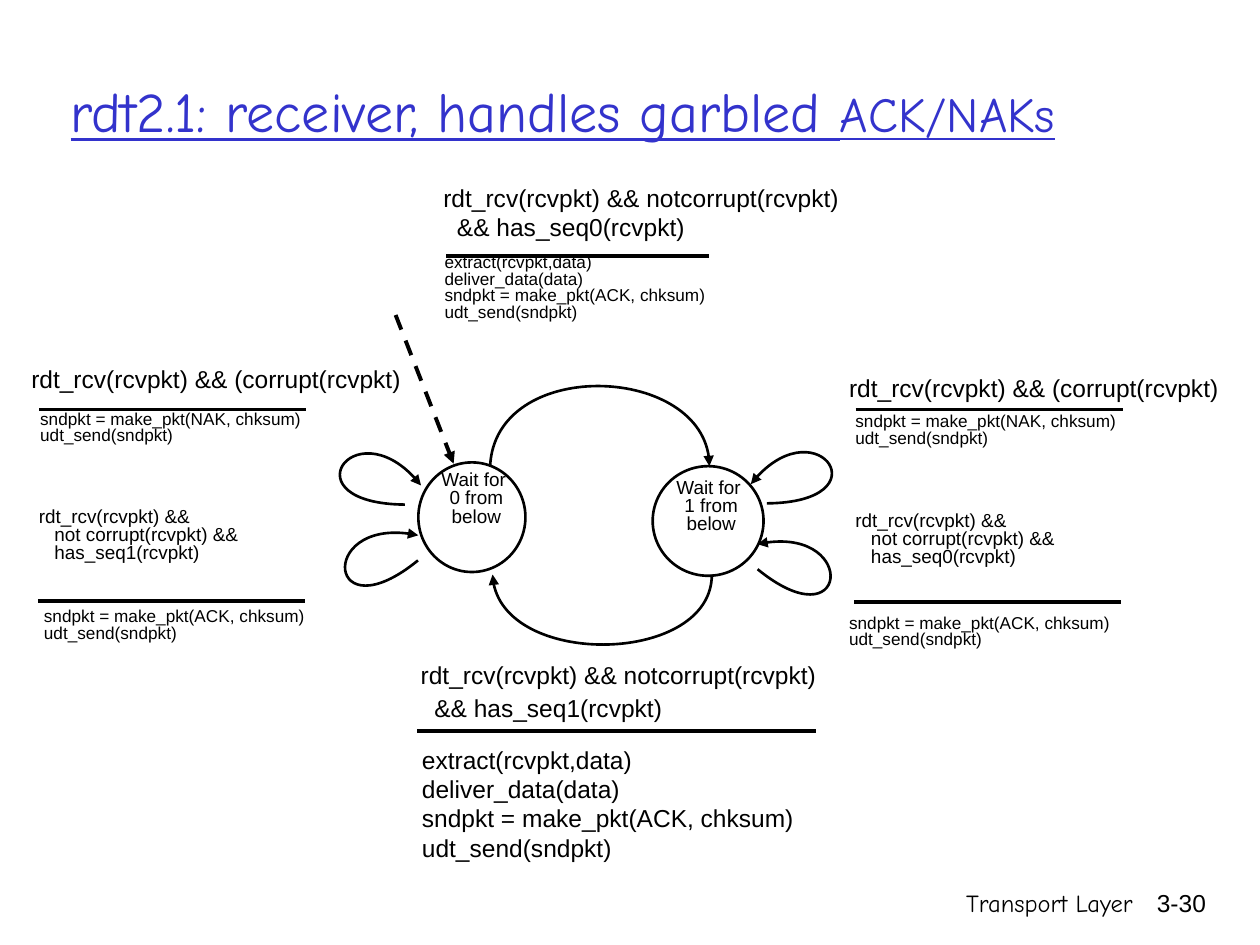
from dataclasses import dataclass

from lxml import etree
from pptx import Presentation
from pptx.dml.color import RGBColor
from pptx.enum.dml import MSO_LINE
from pptx.enum.shapes import MSO_CONNECTOR, MSO_SHAPE
from pptx.enum.text import MSO_ANCHOR, MSO_AUTO_SIZE, PP_ALIGN
from pptx.oxml.ns import qn
from pptx.util import Inches, Pt

STRAIGHT = MSO_CONNECTOR.STRAIGHT
OVAL = MSO_SHAPE.OVAL
DASH = MSO_LINE.DASH
LEFT, CENTER, RIGHT = PP_ALIGN.LEFT, PP_ALIGN.CENTER, PP_ALIGN.RIGHT
MIDDLE = MSO_ANCHOR.MIDDLE
NO_AUTOFIT = MSO_AUTO_SIZE.NONE

Point = tuple[float, float]
Box = tuple[float, float, float, float]


@dataclass(frozen=True)
class Theme:
    ink: RGBColor = RGBColor(0x00, 0x00, 0x00)
    paper: RGBColor = RGBColor(0xFF, 0xFF, 0xFF)
    title: RGBColor = RGBColor(0x33, 0x33, 0xCC)
    hand_font: str = "Comic Neue"
    body_font: str = "Arial"
    title_size: float = 32
    title_end_size: float = 28
    large: float = 14
    medium: float = 10.8
    small: float = 9.8
    thin: float = 1.5
    thick: float = 2.25


THEME = Theme()


@dataclass(frozen=True)
class State:
    circle: Box
    label: Box
    number: int


@dataclass(frozen=True)
class Label:
    box: Box
    lines: tuple[str, ...]
    size: float
    spacing: float = 1.0
    gap: float = 0


@dataclass(frozen=True)
class Loop:
    center: Point
    rotation: float
    side: int  # 1 opens to the right, -1 to the left


def acknowledge(kind: str) -> tuple[str, ...]:
    return f"sndpkt = make_pkt({kind}, chksum)", "udt_send(sndpkt)"


def in_order(number: int) -> tuple[str, ...]:
    return "rdt_rcv(rcvpkt) && notcorrupt(rcvpkt)", f"  && has_seq{number}(rcvpkt)"


def duplicate(number: int) -> tuple[str, ...]:
    return "rdt_rcv(rcvpkt) &&", "   not corrupt(rcvpkt) &&", f"   has_seq{number}(rcvpkt)"


CORRUPT = ("rdt_rcv(rcvpkt) && (corrupt(rcvpkt)",)
DELIVER = ("extract(rcvpkt,data)", "deliver_data(data)") + acknowledge("ACK")

STATES = (
    State((3.32, 3.67, 0.85, 0.87), (3.34, 3.7, 0.88, 0.67), 0),
    State((5.18, 3.7, 0.88, 0.87), (5.21, 3.76, 0.87, 0.67), 1),
)
LABELS = (
    Label((3.42, 1.4, 4.35, 0.63), in_order(0), THEME.large),
    Label((3.43, 1.98, 3.8, 0.77), DELIVER, THEME.small, 0.8),
    Label((3.24, 5.19, 3.92, 0.62), in_order(1), THEME.large, gap=2),
    Label((3.25, 5.86, 4.21, 1.09), DELIVER, THEME.large),
    Label((0.15, 2.84, 3.14, 0.67), CORRUPT, THEME.large),
    Label((0.22, 3.22, 3.31, 0.45), acknowledge("NAK"), THEME.small, 0.8),
    Label((0.21, 3.99, 2.87, 0.67), duplicate(1), THEME.medium, 0.8),
    Label((0.25, 4.79, 3.22, 0.45), acknowledge("ACK"), THEME.small, 0.8),
    Label((6.64, 2.91, 3.14, 0.67), CORRUPT, THEME.large),
    Label((6.69, 3.24, 3.31, 0.45), acknowledge("NAK"), THEME.small, 0.8),
    Label((6.69, 4.02, 2.87, 0.67), duplicate(0), THEME.medium, 0.8),
    Label((6.64, 4.84, 3.22, 0.45), acknowledge("ACK"), THEME.small, 0.8),
)
# Left end, height and length of each rule between event and action
RULES = (
    (3.54, 2.03, 2.09), (3.31, 5.8, 3.17),
    (0.31, 3.25, 2.12), (0.3, 4.77, 2.12),
    (6.79, 3.25, 2.12), (6.78, 4.78, 2.12),
)
# Start, two control points and end
ARCS = (
    ((3.89, 3.7), (3.93, 2.84), (5.63, 2.89), (5.63, 3.7)),
    ((5.65, 4.56), (5.65, 5.27), (3.94, 5.31), (3.91, 4.56)),
)
LOOP_OUTLINE = ((-0.4, 0.12), (0.46, 0.47), (0.26, -0.47), (-0.46, -0.07))
LOOPS = (
    Loop((6.41, 3.73), -22.7, 1),
    Loop((6.43, 4.52), 17, 1),
    Loop((2.89, 3.74), 22.7, -1),
    Loop((2.9, 4.45), -17, -1),
)


def inches(values) -> list:
    return [Inches(value) for value in values]


def add_run(paragraph, text: str, *, size: float, font: str = THEME.body_font,
            color: RGBColor = THEME.ink, underline: bool = False) -> None:
    run = paragraph.add_run()
    run.text = text
    run.font.size = Pt(size)
    run.font.name = font
    run.font.color.rgb = color
    run.font.underline = underline


def add_text(shapes, box: Box, lines: tuple[str, ...], *, align=LEFT,
             spacing: float = 1.0, gap: float = 0, **run_format) -> None:
    frame = shapes.add_textbox(*inches(box)).text_frame
    frame.word_wrap = True
    for index, line in enumerate(lines):
        paragraph = frame.add_paragraph() if index else frame.paragraphs[0]
        paragraph.alignment = align
        paragraph.line_spacing = spacing
        paragraph.space_before = Pt(gap if index else 0)
        add_run(paragraph, line, **run_format)


def style_line(shape, width: float, arrow: bool = False) -> None:
    shape.line.color.rgb = THEME.ink
    shape.line.width = Pt(width)
    if arrow:
        outline = shape.line._get_or_add_ln()
        etree.SubElement(outline, qn("a:tailEnd"), type="triangle")


def add_line(shapes, start: Point, end: Point, *, dash=None, arrow: bool = False) -> None:
    connector = shapes.add_connector(STRAIGHT, *inches(start + end))
    if dash is not None:
        connector.line.dash_style = dash
    style_line(connector, THEME.thick, arrow)
    etree.SubElement(connector._element.spPr, qn("a:effectLst"))


def add_curve(shapes, points, rotation: float = 0) -> None:
    """Draw a Bezier arrow from its start, two control points and end."""
    start, *others = [tuple(inches(point)) for point in points]
    builder = shapes.build_freeform(*start, scale=1.0)
    builder.add_line_segments(others, close=False)
    curve = builder.convert_to_shape()
    outline = next(curve._element.iter(qn("a:path")))
    segments = outline.findall(qn("a:lnTo"))
    bezier = etree.SubElement(outline, qn("a:cubicBezTo"))
    for segment in segments:
        bezier.append(segment[0])
        outline.remove(segment)
    curve.rotation = rotation
    curve.fill.background()
    curve.shadow.inherit = False
    style_line(curve, THEME.thin, arrow=True)


def add_loop(shapes, loop: Loop) -> None:
    center_x, center_y = loop.center
    points = [(center_x + loop.side * x, center_y + y) for x, y in LOOP_OUTLINE]
    add_curve(shapes, points, loop.rotation)


def add_state(shapes, state: State) -> None:
    group = shapes.add_group_shape().shapes
    circle = group.add_shape(OVAL, *inches(state.circle))
    circle.shadow.inherit = False
    circle.fill.solid()
    circle.fill.fore_color.rgb = THEME.paper
    style_line(circle, THEME.thin)
    add_text(group, state.label, ("Wait for ", f"{state.number} from below"),
             align=CENTER, spacing=0.8, size=THEME.medium)


def set_title(title) -> None:
    title.left, title.top, title.width, title.height = inches((0.46, 0.25, 9.1, 1.25))
    frame = title.text_frame
    frame.auto_size = NO_AUTOFIT
    frame.vertical_anchor = MIDDLE
    paragraph = frame.paragraphs[0]
    paragraph.alignment = LEFT
    for text, size in (("rdt2.1: receiver, handles garbled ", THEME.title_size),
                       ("ACK/NAKs", THEME.title_end_size)):
        add_run(paragraph, text, size=size, font=THEME.hand_font,
                color=THEME.title, underline=True)


def main() -> None:
    presentation = Presentation()
    presentation.slide_width, presentation.slide_height = Inches(10), Inches(7.5)
    slide = presentation.slides.add_slide(presentation.slide_layouts[5])
    shapes = slide.shapes
    set_title(shapes.title)
    for state in STATES:
        add_state(shapes, state)
    add_line(shapes, (3.14, 2.5), (3.6, 3.68), dash=DASH, arrow=True)
    for arc in ARCS:
        add_curve(shapes, arc)
    for loop in LOOPS:
        add_loop(shapes, loop)
    for left, top, length in RULES:
        add_line(shapes, (left, top), (left + length, top))
    for label in LABELS:
        add_text(shapes, label.box, label.lines, size=label.size,
                 spacing=label.spacing, gap=label.gap)
    add_text(shapes, (5.92, 7, 3.17, 0.5), ("Transport Layer",), align=RIGHT,
             size=THEME.large, font=THEME.hand_font)
    add_text(shapes, (8.93, 7, 0.74, 0.5), ("3-30",), align=RIGHT, size=THEME.large)
    presentation.save("out.pptx")


if __name__ == "__main__":
    main()
